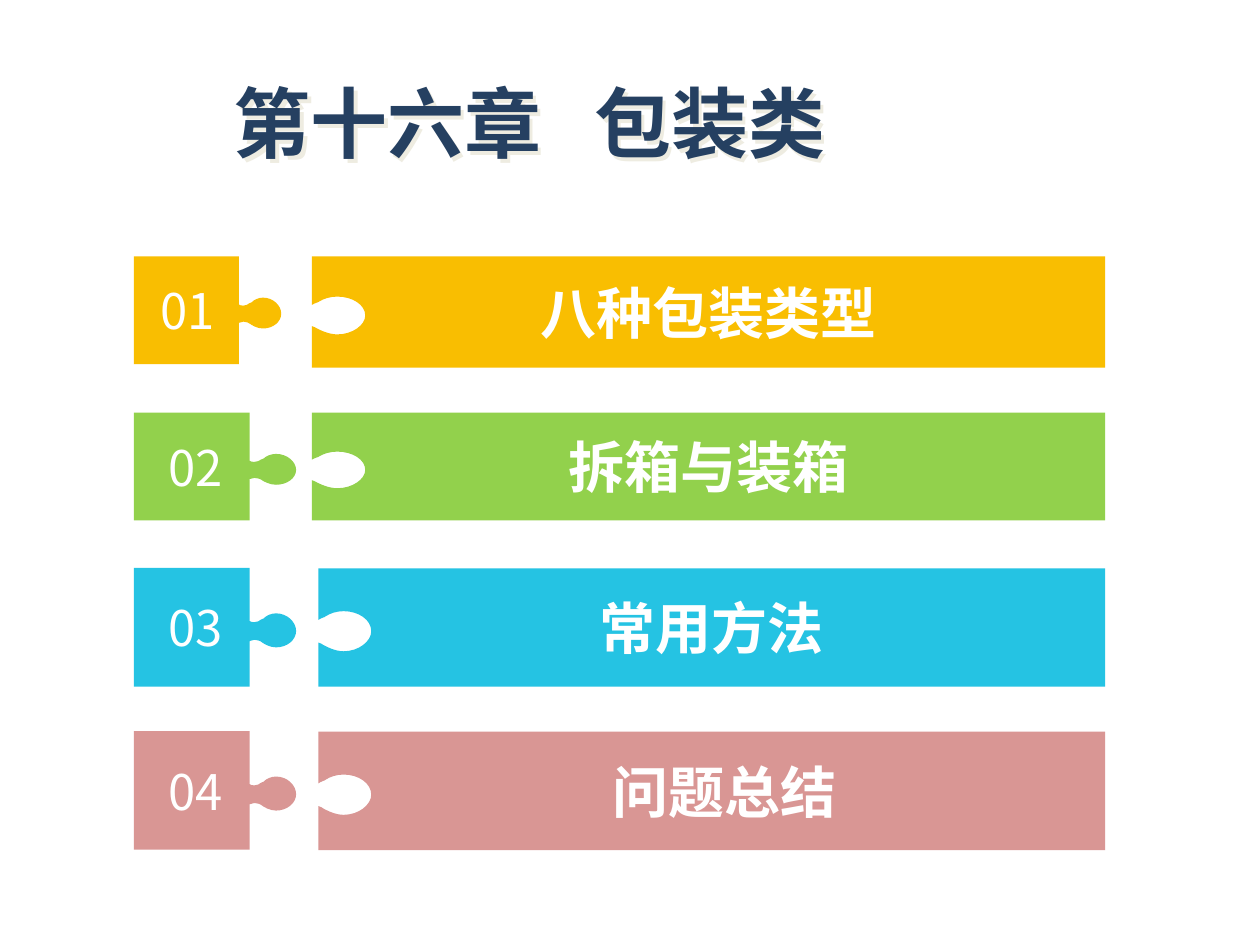
from lxml import etree
from pptx import Presentation
from pptx import util as u
from pptx.dml.color import RGBColor
from pptx.enum import text
from pptx.oxml import ns

TITLE = ("第十六章", " ", "包装类")
ROWS = [
    dict(number="01", label="八种包装类型", fill="F9BE01", tab=(5.17, 2.97, 2.17), bar=(6.29, 5.17, 2.24), indent=0.25),
    dict(number="02", label="拆箱与装箱", fill="92D14C", tab=(8.32, 3.27, 2.17), bar=(6.29, 8.32, 2.17), indent=0.25),
    dict(number="03", label="常用方法", fill="25C3E3", tab=(11.45, 3.27, 2.39), bar=(6.42, 11.46, 2.38), indent=0.25),
    dict(number="04", label="问题总结", fill="D99694", tab=(14.74, 3.27, 2.39), bar=(6.42, 14.75, 2.39), indent=0.75),
]
THEME = dict(font="Noto Sans CJK SC", title="254061", shadow="EEECE1", light="FFFFFF",
             title_size=44, number_size=28, label_size=32)
TAB_LEFT, BAR_RIGHT = 2.7, 22.28

# 2-tuples are corners, 6-tuples are Bezier curves, all in percent of the shape's size
TAB = [
    (87.6, 38.3), (84.5, 38.3, 81.4, 40.4, 80, 42.6), (79, 43, 79, 43.6, 78.3, 43.6),
    (77.5, 44.7, 76, 45.7, 74.4, 45.7), (73, 45.7, 72, 45.7, 71.3, 44.7),
    (71.3, 0), (0, 0), (0, 100), (71.3, 100), (71.3, 61.7),
    (73, 60.6, 73, 60.6, 74.4, 60.6), (76, 60.6, 78.3, 61.7, 79, 62.8),
    (80, 63.8, 83.7, 67, 87.6, 67), (94.6, 67, 100, 60.6, 100, 53.2),
    (100, 45.7, 94.6, 38.3, 87.6, 38.3),
]
BAR = [
    (0, 0), (0, 43.6), (0.16, 42.6, 0.32, 42.6, 0.64, 41.5), (0.64, 41.5, 0.8, 41.5, 0.96, 40.4),
    (1.44, 38.3, 2.24, 36.2, 3.2, 36.2), (5.12, 36.2, 6.72, 43.6, 6.72, 53.2),
    (6.72, 61.7, 5.12, 70.2, 3.2, 70.2), (2.08, 70.2, 0.96, 66, 0.64, 64.9),
    (0.48, 63.8, 0.32, 63.8, 0, 62.8), (0, 100), (100, 100), (100, 0),
]


def style(r, size, color, bold):
    r.font.name, r.font.size, r.font.bold = THEME["font"], u.Pt(size), bold
    r.font.color.rgb = RGBColor.from_string(color)
    ea = etree.SubElement(r.font._element, ns.qn("a:ea"))
    ea.set("typeface", THEME["font"])


def curve_edges(sp, outline):
    segments = list(sp._element.iter(ns.qn("a:lnTo")))
    for segment, part in zip(segments, outline[1:]):
        if len(part) == 2:
            continue
        segment.tag = ns.qn("a:cubicBezTo")
        end = segment[0]
        for x, y in (part[:2], part[2:4]):
            control = etree.Element(ns.qn("a:pt"), x=str(int(sp.width * x / 100)), y=str(int(sp.height * y / 100)))
            end.addprevious(control)


def add_piece(s, outline, left, top, width, height, fill, words, size, bold, insets):
    pts = [(u.Cm(left + part[-2] * width / 100), u.Cm(top + part[-1] * height / 100)) for part in outline]
    builder = s.shapes.build_freeform(*pts[0])
    builder.add_line_segments(pts[1:], close=True)
    sp = builder.convert_to_shape()
    curve_edges(sp, outline)
    sp.shadow.inherit = False
    sp.fill.solid()
    sp.fill.fore_color.rgb = RGBColor.from_string(fill)
    sp.line.fill.background()
    tf = sp.text_frame
    tf.text = words
    tf.word_wrap = True
    tf.vertical_anchor = text.MSO_ANCHOR.MIDDLE
    tf.margin_left, tf.margin_right = map(u.Cm, insets)
    p = tf.paragraphs[0]
    p.alignment = text.PP_ALIGN.CENTER
    style(p.runs[0], size, THEME["light"], bold)


def add_title(s):
    sp = s.shapes.title
    sp.left, sp.top, sp.width, sp.height = map(u.Cm, (3.43, 1.6, 16.61, 1.88))
    effects = etree.SubElement(sp._element.spPr, ns.qn("a:effectLst"))
    shadow = etree.SubElement(effects, ns.qn("a:outerShdw"), dist="38100", dir="2700000")
    etree.SubElement(shadow, ns.qn("a:srgbClr"), val=THEME["shadow"])
    tf = sp.text_frame
    tf.word_wrap = True
    tf.auto_size = text.MSO_AUTO_SIZE.NONE
    tf.vertical_anchor = text.MSO_ANCHOR.TOP
    tf.margin_top, tf.margin_right = u.Cm(0.13), u.Cm(2.38)
    p = tf.paragraphs[0]
    p.alignment, p.line_spacing = text.PP_ALIGN.CENTER, 0.9
    for words in TITLE:
        r = p.add_run()
        r.text = words
        style(r, THEME["title_size"], THEME["title"], True)
        if words == " ":
            r.font._element.set("spc", "2000")


prs = Presentation()
prs.slide_width, prs.slide_height = u.Cm(25.4), u.Cm(19.05)
s = prs.slides.add_slide(prs.slide_layouts[5])
add_title(s)
for row in ROWS:
    top, width, height = row["tab"]
    add_piece(s, TAB, TAB_LEFT, top, width, height, row["fill"], row["number"],
              THEME["number_size"], False, (0, 0.79))
    left, top, height = row["bar"]
    add_piece(s, BAR, left, top, BAR_RIGHT - left, height, row["fill"], row["label"],
              THEME["label_size"], True, (row["indent"], 0.25))
prs.save("out.pptx")
